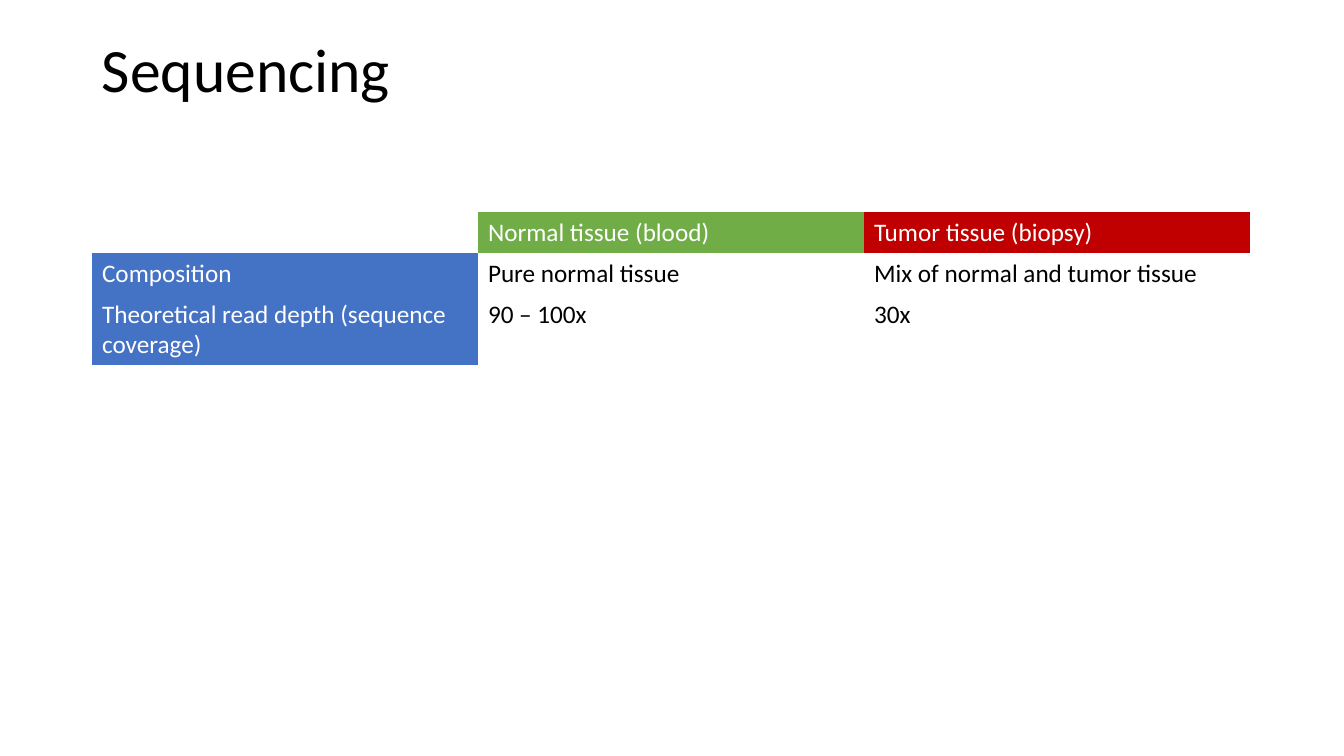
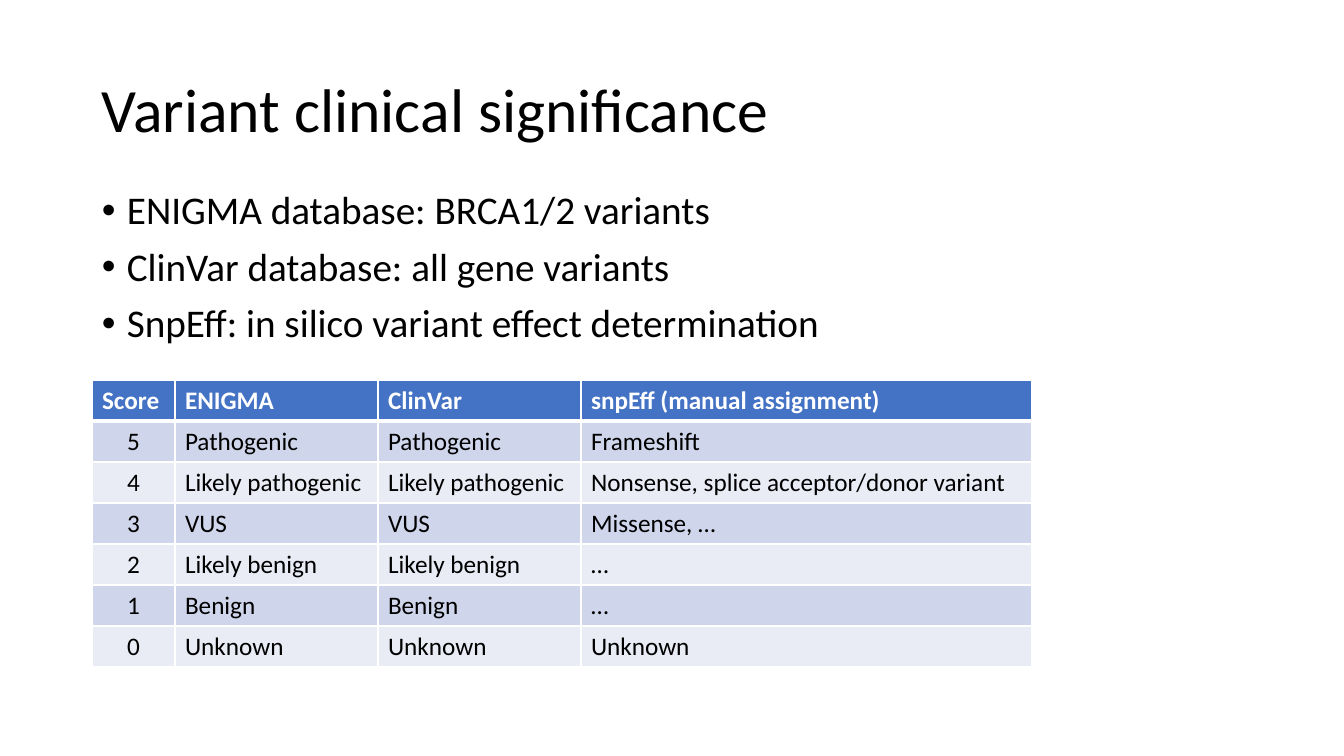
from dataclasses import dataclass

from lxml.etree import SubElement
from pptx import Presentation
from pptx.dml.color import RGBColor
from pptx.enum.text import MSO_ANCHOR, PP_ALIGN
from pptx.oxml import parse_xml
from pptx.oxml.ns import nsdecls, qn
from pptx.util import Pt

# One pixel is 1/1344 of a 13.33 inch wide slide
SLIDE_WIDTH, SLIDE_HEIGHT = 1344, 756
EMU_PER_PX = 12192000 / SLIDE_WIDTH

LEFT, CONTENT_WIDTH = 92, 1159
TITLE_HEIGHT = 146
ROW_HEIGHT = 41
BULLET_INDENT = 25
PLAIN_TABLE_STYLE = "{2D5ABB26-0587-4C30-8999-92F81FD0307C}"


@dataclass(frozen=True)
class Theme:
    font: str = "Calibri"
    black: str = "000000"
    white: str = "FFFFFF"
    blue: str = "4472C4"
    green: str = "70AD47"
    red: str = "C00000"
    dark_band: str = "CFD5EA"
    light_band: str = "E9EBF5"
    title_size: int = 44
    body_size: int = 28
    table_size: int = 18


THEME = Theme()


@dataclass(frozen=True)
class CellStyle:
    fill: str | None = None
    color: str = THEME.black
    bold: bool = False
    alignment: PP_ALIGN = PP_ALIGN.LEFT
    bottom_border: int = 1


def px(length):
    return round(length * EMU_PER_PX)


def set_font(paragraph, size, color=THEME.black, bold=False):
    font = paragraph.font
    font.name, font.size, font.bold = THEME.font, Pt(size), bold
    font.color.rgb = RGBColor.from_string(color)


# Text
def add_text(slide, top, height, anchor):
    shape = slide.shapes.add_textbox(px(LEFT), px(top), px(CONTENT_WIDTH), px(height))
    frame = shape.text_frame
    frame.word_wrap = True
    frame.vertical_anchor = anchor
    return frame


def add_title(slide, text, top):
    paragraph = add_text(slide, top, TITLE_HEIGHT, MSO_ANCHOR.MIDDLE).paragraphs[0]
    paragraph.text = text
    paragraph.line_spacing = 0.9
    set_font(paragraph, THEME.title_size)


def set_bullet(paragraph):
    properties = paragraph._p.get_or_add_pPr()
    properties.set("marL", str(px(BULLET_INDENT)))
    properties.set("indent", str(-px(BULLET_INDENT)))
    SubElement(properties, qn("a:buFont")).set("typeface", "Arial")
    SubElement(properties, qn("a:buChar")).set("char", "•")


def add_bullets(slide, items, top, height):
    frame = add_text(slide, top, height, MSO_ANCHOR.TOP)
    frame.text = "\n".join(items)
    for paragraph in frame.paragraphs:
        set_bullet(paragraph)
        paragraph.line_spacing = 0.9
        paragraph.space_before = Pt(10)
        set_font(paragraph, THEME.body_size)


# Tables
def set_borders(cell, bottom_width):
    properties = cell._tc.get_or_add_tcPr()
    sides = {"lnL": 1, "lnR": 1, "lnT": 1, "lnB": bottom_width}
    for position, (side, width) in enumerate(sides.items()):
        properties.insert(position, parse_xml(
            f'<a:{side} {nsdecls("a")} w="{Pt(width)}"><a:solidFill>'
            f'<a:srgbClr val="{THEME.white}"/></a:solidFill></a:{side}>'))


def fill_cell(cell, text, style, bordered):
    if style.fill:
        cell.fill.solid()
        cell.fill.fore_color.rgb = RGBColor.from_string(style.fill)
    else:
        cell.fill.background()
    if bordered:
        set_borders(cell, style.bottom_border)
    paragraph = cell.text_frame.paragraphs[0]
    paragraph.text = text
    paragraph.alignment = style.alignment
    set_font(paragraph, THEME.table_size, style.color, style.bold)


def add_table(slide, top, column_widths, rows, style_for, bordered=False):
    table = slide.shapes.add_table(
        len(rows), len(column_widths), px(LEFT), px(top),
        px(sum(column_widths)), px(ROW_HEIGHT * len(rows))).table
    table.horz_banding = False
    table._tbl.tblPr.find(qn("a:tableStyleId")).text = PLAIN_TABLE_STYLE
    for column, width in zip(table.columns, column_widths):
        column.width = px(width)
    for row_index, row in enumerate(rows):
        table.rows[row_index].height = px(ROW_HEIGHT)
        for column_index, text in enumerate(row):
            style = style_for(row_index, column_index)
            fill_cell(table.cell(row_index, column_index), text, style, bordered)


def tissue_style(row, column):
    if row == 0 and column > 0:
        return CellStyle((THEME.green, THEME.red)[column - 1], THEME.white)
    if row > 0 and column == 0:
        return CellStyle(THEME.blue, THEME.white)
    return CellStyle()


def score_style(row, column):
    if row == 0:
        return CellStyle(THEME.blue, THEME.white, bold=True, bottom_border=3)
    band = THEME.dark_band if row % 2 else THEME.light_band
    return CellStyle(band, alignment=PP_ALIGN.LEFT if column else PP_ALIGN.CENTER)


# Slides
def build_sequencing(slide):
    add_title(slide, "Sequencing", 0)
    rows = [
        ("", "Normal tissue (blood)", "Tumor tissue (biopsy)"),
        ("Composition", "Pure normal tissue", "Mix of normal and tumor tissue"),
        ("Theoretical read depth (sequence coverage)", "90 – 100x", "30x"),
    ]
    add_table(slide, 212, [386] * 3, rows, tissue_style)


def build_significance(slide):
    add_title(slide, "Variant clinical significance", 40)
    add_bullets(slide, [
        "ENIGMA database: BRCA1/2 variants",
        "ClinVar database: all gene variants",
        "SnpEff: in silico variant effect determination",
    ], 186, 480)
    # Both databases share the same classes, listed from score 5 down to 0
    classes = [
        ("Pathogenic", "Frameshift"),
        ("Likely pathogenic", "Nonsense, splice acceptor/donor variant"),
        ("VUS", "Missense, …"),
        ("Likely benign", "…"),
        ("Benign", "…"),
        ("Unknown", "Unknown"),
    ]
    rows = [("Score", "ENIGMA", "ClinVar", "snpEff (manual assignment)")]
    for score, (label, effect) in zip(range(5, -1, -1), classes):
        rows.append((str(score), label, label, effect))
    add_table(slide, 380, [83, 203, 203, 451], rows, score_style, bordered=True)


def main():
    presentation = Presentation()
    presentation.slide_width = px(SLIDE_WIDTH)
    presentation.slide_height = px(SLIDE_HEIGHT)
    blank_layout = presentation.slide_layouts[6]
    for build in (build_sequencing, build_significance):
        build(presentation.slides.add_slide(blank_layout))
    presentation.save("out.pptx")


if __name__ == "__main__":
    main()
